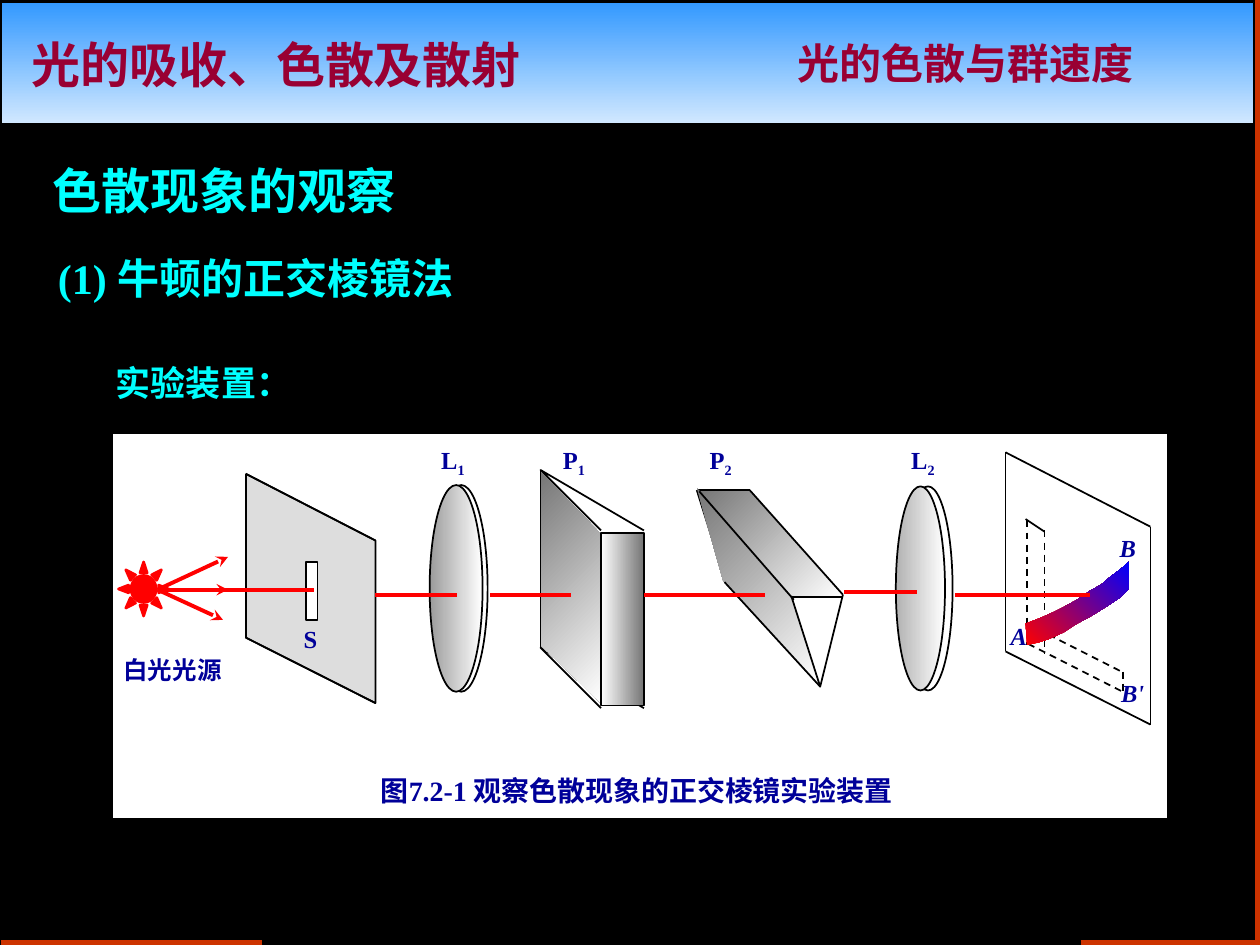
from lxml import etree
from pptx import Presentation
from pptx.dml.color import RGBColor
from pptx.enum.dml import MSO_LINE
from pptx.enum.shapes import MSO_CONNECTOR, MSO_SHAPE
from pptx.enum.text import MSO_ANCHOR, PP_ALIGN
from pptx.oxml.ns import qn
from pptx.util import Cm, Pt

CM_PER_INCH = 2.54
FONT = "Times New Roman"
STRAIGHT = MSO_CONNECTOR.STRAIGHT
RECTANGLE, OVAL, SUN = MSO_SHAPE.RECTANGLE, MSO_SHAPE.OVAL, MSO_SHAPE.SUN
DASH = MSO_LINE.DASH
TOP, MIDDLE = MSO_ANCHOR.TOP, MSO_ANCHOR.MIDDLE
LEFT, CENTER, JUSTIFY = PP_ALIGN.LEFT, PP_ALIGN.CENTER, PP_ALIGN.JUSTIFY

BLACK = RGBColor(0x00, 0x00, 0x00)
WHITE = RGBColor(0xFF, 0xFF, 0xFF)
RED = RGBColor(0xFF, 0x00, 0x00)
BLUE = RGBColor(0x00, 0x00, 0xFF)
CYAN = RGBColor(0x00, 0xFF, 0xFF)
NAVY = RGBColor(0x00, 0x00, 0x99)
MAROON = RGBColor(0x99, 0x00, 0x33)
RUST = RGBColor(0xCC, 0x33, 0x00)
SKY = RGBColor(0x33, 0x99, 0xFF)
PALE_SKY = RGBColor(0xD1, 0xE8, 0xFF)
SCREEN_GRAY = RGBColor(0xDD, 0xDD, 0xDD)
PRISM_GRAY = RGBColor(0x76, 0x76, 0x76)
LENS_GRAYS = (RGBColor(0x9B, 0x9B, 0x9B), RGBColor(0xB2, 0xB2, 0xB2))

PRISM_SHADE = (PRISM_GRAY, WHITE, 315)
SPECTRUM_POINTS = [
    (8.14, 4.95), (8.27, 4.9), (8.36, 4.86), (8.44, 4.82), (8.55, 4.76),
    (8.65, 4.69), (8.74, 4.64), (8.81, 4.58), (8.89, 4.52), (8.96, 4.46),
    (8.96, 4.67), (8.94, 4.69), (8.88, 4.75), (8.79, 4.81), (8.66, 4.89),
    (8.53, 4.96), (8.44, 5.02), (8.33, 5.07), (8.24, 5.1), (8.15, 5.12),
]


def lengths(*inches):
    return [Cm(value * CM_PER_INCH) for value in inches]


def paint(shape, fill=None, line=None, width=1):
    shape.shadow.inherit = False
    if fill is None:
        shape.fill.background()
    elif isinstance(fill, RGBColor):
        shape.fill.solid()
        shape.fill.fore_color.rgb = fill
    else:
        *colors, angle = fill
        shape.fill.gradient()
        shape.fill.gradient_angle = angle
        for stop, color in zip(shape.fill.gradient_stops, colors):
            stop.color.rgb = color
    if line is None:
        shape.line.fill.background()
    else:
        shape.line.color.rgb = line
        shape.line.width = Pt(width)


def add_preset(shapes, kind, box, fill, line=BLACK, width=1):
    shape = shapes.add_shape(kind, *lengths(*box))
    paint(shape, fill, line, width)
    return shape


def add_outline(shapes, points, fill=None, line=None, close=False):
    start, *others = [lengths(*point) for point in points]
    builder = shapes.build_freeform(*start, scale=1)
    builder.add_line_segments(others, close=close)
    paint(builder.convert_to_shape(), fill, line)


def add_line(shapes, start, end, color=BLACK, width=1, dash=None, arrow=False):
    connector = shapes.add_connector(STRAIGHT, *lengths(*start, *end))
    connector.line.color.rgb = color
    connector.line.width = Pt(width)
    if dash:
        connector.line.dash_style = dash
    properties = connector._element.spPr
    if arrow:
        etree.SubElement(properties.find(qn("a:ln")), qn("a:tailEnd"), type="stealth")
    etree.SubElement(properties, qn("a:effectLst"))


def format_text(shape, text, size, color, align=LEFT, anchor=TOP, italic=False, subscript=""):
    frame = shape.text_frame
    frame.word_wrap = True
    frame.vertical_anchor = anchor
    frame.margin_left = frame.margin_right = frame.margin_top = frame.margin_bottom = 0
    paragraph = frame.paragraphs[0]
    paragraph.alignment = align
    paragraph.add_run().text = text
    if subscript:
        run = paragraph.add_run()
        run.text = subscript
        run.font._element.set("baseline", "-25000")
    font = paragraph.font
    font.name, font.size, font.bold, font.italic = FONT, Pt(size), True, italic
    font.color.rgb = color


def add_text(shapes, box, text, size, color, **options):
    format_text(shapes.add_textbox(*lengths(*box)), text, size, color, **options)


def add_label(shapes, box, text, align=CENTER, **options):
    add_text(shapes, box, text, 14, NAVY, align=align, **options)


def add_frame(shapes):
    for start, end in [((2.08, 7.48), (0.01, 7.48)), ((9.98, 7.5), (9.98, 0)),
                       ((9.96, 7.48), (8.58, 7.48))]:
        add_line(shapes, start, end, RUST, 3)
    add_preset(shapes, RECTANGLE, (0.01, 0.02, 9.94, 0.96), (SKY, PALE_SKY, 270), width=0.75)


def add_headings(slide):
    shapes = slide.shapes
    add_text(shapes, (6.33, 0.25, 3.5, 0.5), "光的色散与群速度", 24, MAROON, anchor=MIDDLE)
    add_text(shapes, (0.25, 0.27, 4.8, 0.47), "光的吸收、色散及散射", 28, MAROON, anchor=MIDDLE)
    title = shapes.title
    title.left, title.top, title.width, title.height = lengths(0.42, 1.17, 4.42, 0.67)
    format_text(title, "色散现象的观察", 28, CYAN, anchor=MIDDLE)
    add_text(shapes, (0.46, 1.92, 4.43, 0.57), "(1) 牛顿的正交棱镜法", 24, CYAN, anchor=MIDDLE)
    add_text(shapes, (0.92, 2.87, 2.5, 0.33), "实验装置：", 20, CYAN)


def add_lens(shapes, left, top, width, height, offset, gray):
    add_preset(shapes, OVAL, (left + offset, top, width, height), WHITE)
    add_preset(shapes, OVAL, (left, top, width, height), (gray, WHITE, 0))


def add_screen(shapes, corners):
    for start, end in zip(corners, corners[1:] + corners[:1]):
        add_line(shapes, start, end)


def add_slit_screen(shapes):
    corners = [(1.95, 3.76), (2.98, 4.29), (2.98, 5.58), (1.95, 5.06)]
    add_outline(shapes, corners, SCREEN_GRAY, BLACK)
    add_screen(shapes, corners)
    add_preset(shapes, RECTANGLE, (2.43, 4.46, 0.09, 0.46), WHITE)


def add_spectrum_screen(shapes):
    add_screen(shapes, [(7.98, 3.59), (9.13, 4.18), (9.13, 5.75), (7.98, 5.17)])
    for start, end in [((8.16, 5.11), (8.91, 5.49)), ((8.16, 4.95), (8.16, 5.12)),
                       ((8.15, 4.95), (8.9, 5.33)), ((8.91, 5.33), (8.91, 5.5)),
                       ((8.15, 4.13), (8.15, 5.12)), ((8.29, 4.21), (8.29, 5.19))]:
        add_line(shapes, start, end, dash=DASH)
    add_line(shapes, (8.14, 4.12), (8.29, 4.22))
    add_outline(shapes, SPECTRUM_POINTS, (RED, BLUE, 45), close=True)


def add_upright_prism(shapes):
    for top in (5.14, 3.73):
        add_outline(shapes, [(4.77, top + 0.48), (4.29, top), (5.11, top + 0.48)], line=BLACK)
    add_outline(shapes, [(4.29, 3.74), (4.77, 4.24), (4.77, 5.58), (4.29, 5.12)], PRISM_SHADE)
    add_preset(shapes, RECTANGLE, (4.77, 4.23, 0.34, 1.37), (WHITE, PRISM_GRAY, 0))
    add_line(shapes, (4.29, 3.73), (4.29, 5.14))


def add_tilted_prism(shapes):
    add_outline(shapes, [(5.53, 3.89), (5.76, 4.62), (5.94, 3.89)], line=BLACK)
    add_outline(shapes, [(5.54, 3.89), (6.29, 4.74), (6.69, 4.73), (5.95, 3.89)], PRISM_SHADE)
    for start, end in [((6.28, 4.74), (6.69, 4.74)), ((5.54, 3.89), (5.95, 3.89)),
                       ((6.69, 4.72), (5.95, 3.89))]:
        add_line(shapes, start, end)
    add_outline(shapes, [(5.74, 4.61), (5.53, 3.87), (6.28, 4.75), (6.5, 5.44)], PRISM_SHADE)
    add_outline(shapes, [(6.28, 4.73), (6.51, 5.45), (6.69, 4.72)], line=BLACK)
    add_line(shapes, (5.75, 4.62), (6.51, 5.45))
    add_line(shapes, (6.3, 4.76), (5.55, 3.9))


def add_light(shapes):
    for tip in [(1.81, 4.42), (1.81, 4.68), (1.77, 4.92)]:
        add_line(shapes, (1.25, 4.68), tip, RED, 2.25, arrow=True)
    add_preset(shapes, SUN, (0.94, 4.46, 0.4, 0.43), RED, RED, 1.5)
    for start, end, height in [(2.98, 3.63, 4.72), (3.89, 4.53, 4.72), (5.11, 6.07, 4.72),
                               (6.7, 7.28, 4.7), (7.58, 8.65, 4.72), (1.42, 2.49, 4.68)]:
        add_line(shapes, (start, height), (end, height), RED, 2.25)


def add_labels(shapes):
    add_label(shapes, (2.33, 4.95, 0.27, 0.22), "S")
    add_label(shapes, (0.98, 5.2, 1.09, 0.34), "白光光源", align=JUSTIFY)
    for left, width, letter, number in [(5.43, 0.58, "P", "2"), (7.12, 0.41, "L", "2"),
                                        (4.37, 0.37, "P", "1"), (3.38, 0.43, "L", "1")]:
        add_label(shapes, (left, 3.53, width, 0.35), letter, subscript=number)
    for box, text in [((7.96, 4.93, 0.25, 0.24), "A"), ((8.87, 5.38, 0.24, 0.26), "B'"),
                      ((8.84, 4.23, 0.22, 0.25), "B")]:
        add_label(shapes, box, text, italic=True)


def add_apparatus(shapes):
    add_preset(shapes, RECTANGLE, (0.89, 3.44, 8.38, 3.06), WHITE, width=0.75)
    add_text(shapes, (1.99, 6.14, 6.13, 0.32), "图7.2-1 观察色散现象的正交棱镜实验装置", 16, NAVY, align=CENTER)
    add_lens(shapes, 3.41, 3.85, 0.42, 1.64, 0.04, LENS_GRAYS[0])
    add_lens(shapes, 7.11, 3.86, 0.39, 1.62, 0.06, LENS_GRAYS[1])
    add_slit_screen(shapes)
    add_spectrum_screen(shapes)
    add_upright_prism(shapes)
    add_tilted_prism(shapes)
    add_light(shapes)
    add_labels(shapes)


def main():
    presentation = Presentation()
    presentation.slide_width, presentation.slide_height = lengths(10, 7.5)
    slide = presentation.slides.add_slide(presentation.slide_layouts[5])
    slide.background.fill.solid()
    slide.background.fill.fore_color.rgb = BLACK
    add_frame(slide.shapes)
    add_headings(slide)
    add_apparatus(slide.shapes.add_group_shape().shapes)
    presentation.save("out.pptx")


if __name__ == "__main__":
    main()
